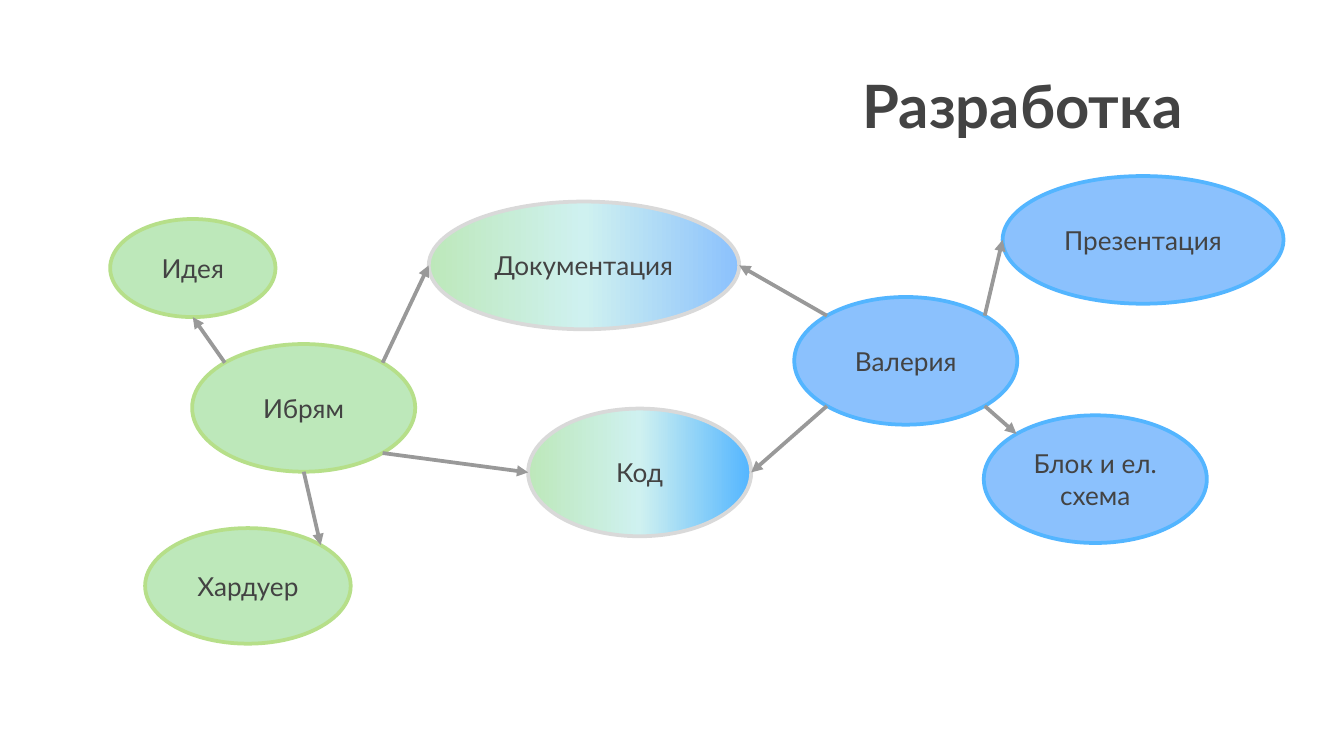
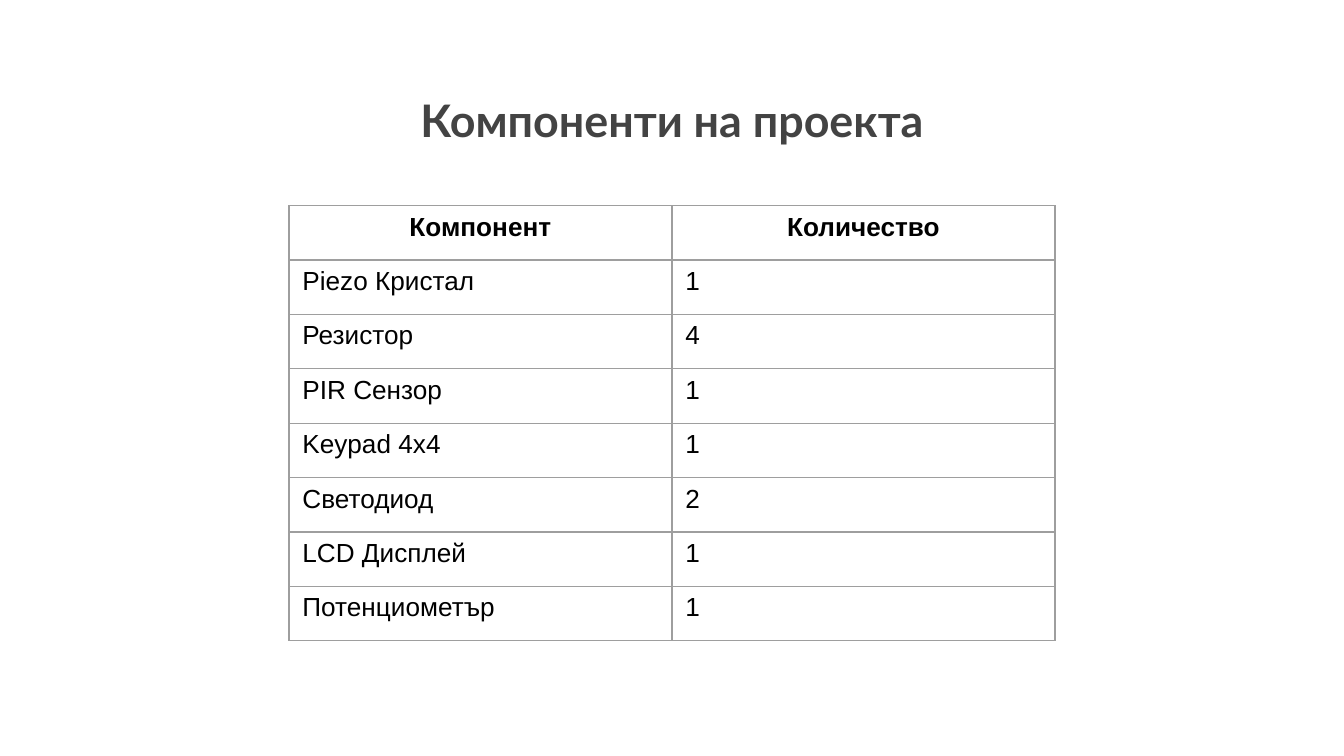
"""Builds two slides: a map of development tasks and a table of project components."""
from copy import deepcopy
from math import sqrt

from lxml.etree import SubElement
from pptx import Presentation
from pptx.dml.color import RGBColor
from pptx.enum.shapes import MSO_CONNECTOR as CONN, MSO_SHAPE as SHAPE
from pptx.enum.text import MSO_ANCHOR as ANCHOR, PP_ALIGN as ALIGN
from pptx.oxml.ns import qn
from pptx.util import Inches, Pt

COLORS = {
    "text": "434343", "cell": "000000", "arrow": "999999", "border": "9E9E9E",
    "green": "BDE8BA", "green_line": "B6DF89", "blue": "8BC1FD",
    "blue_line": "53B5FF", "middle": "CFF1F0", "shared_line": "D9D9D9",
}
STYLES = {
    "title": {"name": "Lato", "color": "text", "bold": True},
    "node": {"name": "Lato", "color": "text", "size": Pt(14)},
    "header": {"name": "Arial", "color": "cell", "size": Pt(14), "bold": True},
    "cell": {"name": "Arial", "color": "cell", "size": Pt(14), "bold": False},
}
KINDS = {
    "ibryam": (["green"], "green_line"),
    "valeria": (["blue"], "blue_line"),
    "docs": (["green", "middle", "blue"], "shared_line"),
    "code": (["green", "middle", "blue_line"], "shared_line"),
}
NODES = {
    "Ибрям": ("ibryam", 1.43, 2.56, 1.66, 0.95),
    "Валерия": ("valeria", 5.91, 2.21, 1.66, 0.95),
    "Презентация": ("valeria", 7.46, 1.31, 2.09, 0.95),
    "Код": ("code", 3.93, 3.04, 1.66, 0.95),
    "Блок и ел.\nсхема": ("valeria", 7.32, 3.09, 1.66, 0.95),
    "Идея": ("ibryam", 0.82, 1.63, 1.23, 0.73),
    "Хардуер": ("ibryam", 1.08, 3.93, 1.53, 0.86),
    "Документация": ("docs", 3.19, 1.5, 2.31, 0.95),
}
LINKS = [
    ("Ибрям", "top left", "Идея", "bottom"),
    ("Ибрям", "bottom", "Хардуер", "top right"),
    ("Ибрям", "bottom right", "Код", "left"),
    ("Ибрям", "top right", "Документация", "left"),
    ("Валерия", "bottom right", "Блок и ел.\nсхема", "top left"),
    ("Валерия", "top right", "Презентация", "left"),
    ("Валерия", "top left", "Документация", "right"),
    ("Валерия", "bottom left", "Код", "right"),
]
SIDES = {"left": (-1, 0), "right": (1, 0), "top": (0, -1), "bottom": (0, 1)}
COMPONENTS = [
    ("Компонент", "Количество"),
    ("Piezo Кристал", "1"),
    ("Резистор", "4"),
    ("PIR Сензор", "1"),
    ("Keypad 4x4", "1"),
    ("Светодиод", "2"),
    ("LCD Дисплей", "1"),
    ("Потенциометър", "1"),
]
TABLE_BOX = (2.15, 1.53, 5.7, 3.24)


def rgb(name):
    return RGBColor.from_string(COLORS[name])


def write(tf, text, style, align=ALIGN.CENTER, **extra):
    p = tf.paragraphs[0]
    p.text, p.alignment = text, align
    for r in p.runs:
        for key, value in {**STYLES[style], **extra}.items():
            if key == "color":
                r.font.color.rgb = rgb(value)
            else:
                setattr(r.font, key, value)
    for br in p._p.findall(qn("a:br")):
        br.append(deepcopy(p.runs[0]._r.rPr))


def add_title(slide, text, box, size):
    tf = slide.shapes.add_textbox(*map(Inches, box)).text_frame
    tf.word_wrap, tf.vertical_anchor = True, ANCHOR.TOP
    for side in SIDES:
        setattr(tf, f"margin_{side}", Inches(0.1))
    write(tf, text, "title", size=Pt(size))


def fill_shape(sp, names):
    if len(names) == 1:
        sp.fill.solid()
        sp.fill.fore_color.rgb = rgb(names[0])
        return
    sp.fill.gradient()
    sp.fill.gradient_angle = 0
    stops = sp._element.spPr.find(".//" + qn("a:gsLst"))
    stops.clear()
    for i, name in enumerate(names):
        gs = SubElement(stops, qn("a:gs"), pos=str(100000 * i // (len(names) - 1)))
        SubElement(gs, qn("a:srgbClr"), val=COLORS[name])


def add_node(slide, text, kind, *box):
    fills, line = KINDS[kind]
    sp = slide.shapes.add_shape(SHAPE.OVAL, *map(Inches, box))
    sp.shadow.inherit = False
    fill_shape(sp, fills)
    sp.line.color.rgb, sp.line.width = rgb(line), Pt(2)
    sp.text_frame.word_wrap = True
    sp.text_frame.vertical_anchor = ANCHOR.MIDDLE
    write(sp.text_frame, text, "node")


def edge_point(name, place):
    _, x, y, w, h = NODES[name]
    dx, dy = (sum(d) for d in zip(*(SIDES[s] for s in place.split())))
    reach = 2 * sqrt(dx * dx + dy * dy)
    return Inches(x + w / 2 + dx * w / reach), Inches(y + h / 2 + dy * h / reach)


def add_arrow(slide, source, start, target, end):
    c = slide.shapes.add_connector(
        CONN.STRAIGHT, *edge_point(source, start), *edge_point(target, end))
    c.line.color.rgb, c.line.width = rgb("arrow"), Pt(2)
    spPr = c._element.spPr
    SubElement(spPr.find(qn("a:ln")), qn("a:tailEnd"), type="triangle")
    SubElement(spPr, qn("a:effectLst"))


def format_cell(cell):
    tcPr = cell._tc.get_or_add_tcPr()
    for side in "LRTB":
        ln = SubElement(tcPr, qn(f"a:ln{side}"), w=str(Pt(0.75)))
        line_fill = SubElement(ln, qn("a:solidFill"))
        SubElement(line_fill, qn("a:srgbClr"), val=COLORS["border"])
    cell.fill.background()


def add_components(slide):
    table = slide.shapes.add_table(
        len(COMPONENTS), len(COMPONENTS[0]), *map(Inches, TABLE_BOX)).table
    table.first_row = table.horz_banding = False
    for i, row in enumerate(COMPONENTS):
        style, align = ("cell", ALIGN.LEFT) if i else ("header", ALIGN.CENTER)
        for j, text in enumerate(row):
            cell = table.cell(i, j)
            write(cell.text_frame, text, style, align)
            format_cell(cell)


def main():
    prs = Presentation()
    prs.slide_width = Inches(10)
    prs.slide_height = prs.slide_width * 9 // 16
    blank = prs.slide_layouts[6]

    tasks = prs.slides.add_slide(blank)
    add_title(tasks, "Разработка", (4.76, 0.41, 5.7, 1.03), 32)
    for text, node in NODES.items():
        add_node(tasks, text, *node)
    for link in LINKS:
        add_arrow(tasks, *link)

    parts = prs.slides.add_slide(blank)
    add_title(parts, "Компоненти на проекта", (2.15, 0.59, 5.7, 0.66), 24)
    add_components(parts)
    prs.save("out.pptx")


if __name__ == "__main__":
    main()
